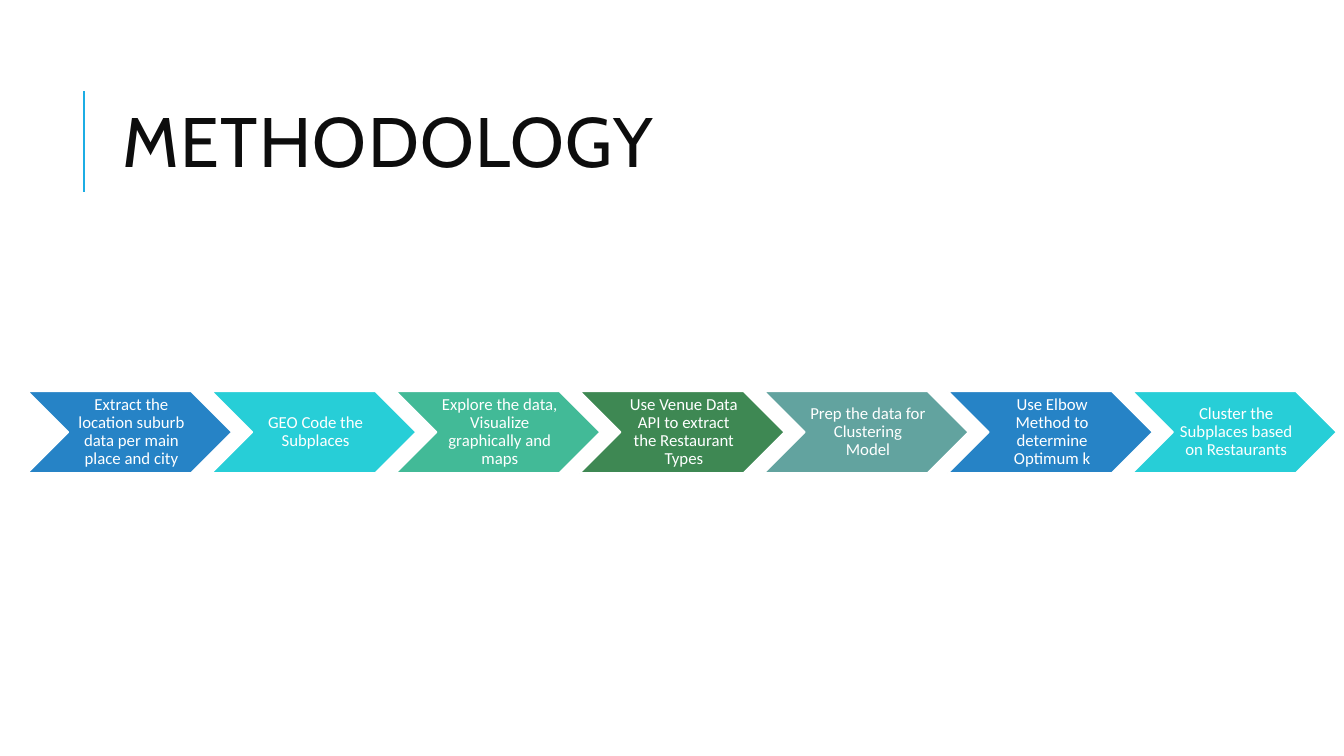
from dataclasses import dataclass

from lxml import etree
from pptx import Presentation
from pptx.dml.color import RGBColor
from pptx.enum import shapes as sh, text as tx
from pptx.oxml.ns import qn
from pptx.util import Cm, Pt


@dataclass
class Step:
    text: str
    fill: str


STEPS = [
    Step("Extract the location suburb data per main place and city", "2683C6"),
    Step("GEO Code the Subplaces", "27CED7"),
    Step("Explore the data, Visualize graphically and maps", "42BA97"),
    Step("Use Venue Data API to extract the Restaurant Types", "3E8853"),
    Step("Prep the data for Clustering Model", "62A39F"),
    Step("Use Elbow Method to determine Optimum k", "2683C6"),
    Step("Cluster the Subplaces based on Restaurants", "27CED7"),
]
LEFT, TOP, WIDE, HIGH, PITCH = 0.69, 9.86, 5.16, 2.06, 4.64


def color(code: str) -> RGBColor:
    return RGBColor.from_string(code)


def apply(obj, form: dict) -> None:
    for name, value in form.items():
        setattr(obj, name, value)


def write(shape, words: str, frame: dict, para: dict, font: dict, ink: str):
    """Fill a shape with one formatted run and return the run."""
    apply(shape.text_frame, frame)
    line = shape.text_frame.paragraphs[0]
    apply(line, para)
    run = line.add_run()
    run.text = words
    apply(run.font, font)
    run.font.color.rgb = color(ink)
    return run


def add_title(slide, words: str) -> None:
    title = slide.shapes.title
    apply(title, dict(left=Cm(2.84), top=Cm(1.63), width=Cm(27), height=Cm(4.17)))
    run = write(
        title, words,
        dict(word_wrap=True, auto_size=tx.MSO_AUTO_SIZE.NONE,
             vertical_anchor=tx.MSO_ANCHOR.MIDDLE),
        dict(alignment=tx.PP_ALIGN.LEFT, line_spacing=0.8),
        dict(name="Cabin", size=Pt(50)), "0D0D0D")
    run.font._element.set("spc", "100")


def add_rule(slide) -> None:
    rule = slide.shapes.add_connector(
        sh.MSO_CONNECTOR.STRAIGHT, Cm(2.12), Cm(4.83), Cm(2.12), Cm(2.29))
    rule.line.color.rgb = color("1CADE4")
    rule.line.width = Pt(1.5)
    etree.SubElement(rule._element.spPr, qn("a:effectLst"))


def add_step(group, step: Step, left: float) -> None:
    arrow = group.shapes.add_shape(
        sh.MSO_SHAPE.CHEVRON, Cm(left), Cm(TOP), Cm(WIDE), Cm(HIGH))
    arrow.shadow.inherit = False
    arrow.fill.solid()
    arrow.fill.fore_color.rgb = color(step.fill)
    arrow.line.color.rgb = color("FFFFFF")
    arrow.line.width = Pt(1.25)
    write(
        arrow, step.text,
        dict(word_wrap=True, vertical_anchor=tx.MSO_ANCHOR.MIDDLE,
             margin_left=Cm(0.13), margin_right=Cm(0.04),
             margin_top=Cm(0.04), margin_bottom=Cm(0.04)),
        dict(alignment=tx.PP_ALIGN.CENTER, line_spacing=0.9),
        dict(name="Calibri", size=Pt(12)), "FFFFFF")


def main() -> None:
    deck = Presentation()
    apply(deck, dict(slide_width=Cm(33.87), slide_height=Cm(19.05)))
    slide = deck.slides.add_slide(deck.slide_layouts.get_by_name("Title Only"))

    # Heading with its vertical rule
    add_rule(slide)
    add_title(slide, "METHODOLOGY")

    # Process chevrons
    flow = slide.shapes.add_group_shape()
    for i, step in enumerate(STEPS):
        add_step(flow, step, LEFT + i * PITCH)

    deck.save("out.pptx")


if __name__ == "__main__":
    main()
